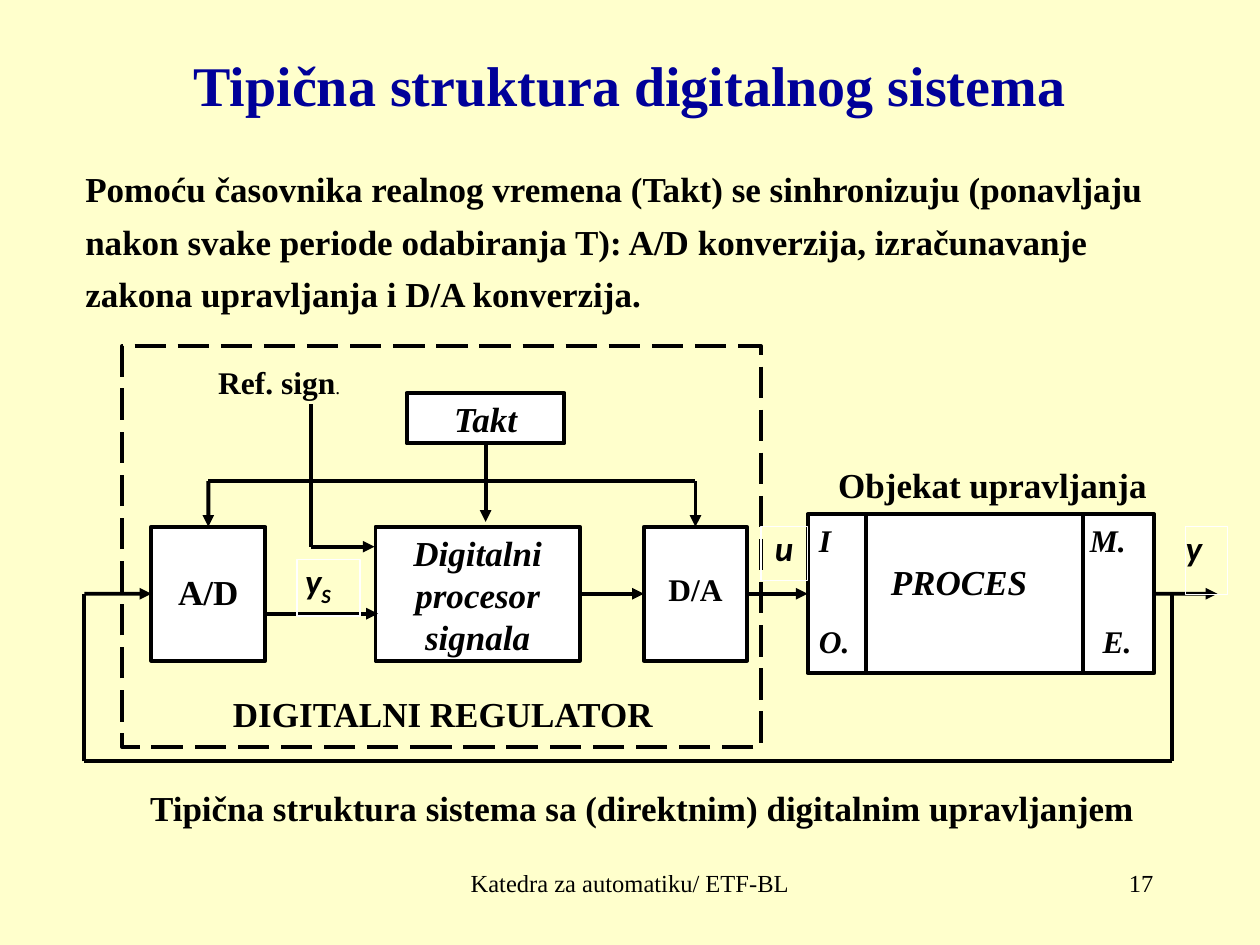
from lxml.etree import SubElement
from pptx import Presentation
from pptx.dml.color import RGBColor
from pptx.enum.dml import MSO_LINE
from pptx.enum.shapes import MSO_CONNECTOR, MSO_SHAPE
from pptx.enum.text import MSO_ANCHOR, PP_ALIGN
from pptx.oxml.ns import qn
from pptx.util import Cm, Pt

COLORS = {"background": "FFFFCC", "title": "000099", "ink": "000000", "white": "FFFFFF"}
SERIF, SANS = "Times New Roman", "Calibri"
TOP, LEFT, BOTTOM, RIGHT = range(4)
BOX_INSETS = (0.25, 0.13, 0.25, 0.13)
NO_INSETS = (0, 0, 0, 0)


def color(name):
    return RGBColor.from_string(COLORS[name])


class DiagramSlide:
    """Holds the style and the slide being built; lengths are in centimetres."""

    line_width = Pt(2.25)

    def __init__(self, presentation):
        self.slide = presentation.slides.add_slide(presentation.slide_layouts[5])
        self.slide.background.fill.solid()
        self.slide.background.fill.fore_color.rgb = color("background")

    def fill_text(self, shape, text, size=20, font=SERIF, bold=True, italic=False,
                  ink="ink", align=PP_ALIGN.CENTER, insets=NO_INSETS, anchor=MSO_ANCHOR.TOP):
        frame = shape.text_frame
        frame.text = text
        frame.word_wrap = True
        frame.vertical_anchor = anchor
        frame.margin_left, frame.margin_top, frame.margin_right, frame.margin_bottom = map(Cm, insets)
        for paragraph in frame.paragraphs:
            paragraph.alignment = align
            for run in paragraph.runs:
                run.font.size, run.font.name = Pt(size), font
                run.font.bold, run.font.italic = bold, italic
                run.font.color.rgb = color(ink)
        return frame.paragraphs

    def title(self, text, bounds):
        shape = self.slide.shapes.title
        shape.left, shape.top, shape.width, shape.height = map(Cm, bounds)
        self.fill_text(shape, text, 32, ink="title", anchor=MSO_ANCHOR.MIDDLE)

    def text(self, text, bounds, **style):
        return self.fill_text(self.slide.shapes.add_textbox(*map(Cm, bounds)), text, **style)

    def rectangle(self, bounds, fill=None, line="ink", width=line_width):
        shape = self.slide.shapes.add_shape(MSO_SHAPE.RECTANGLE, *map(Cm, bounds))
        shape.shadow.inherit = False
        if fill:
            shape.fill.solid()
            shape.fill.fore_color.rgb = color(fill)
        else:
            shape.fill.background()
        shape.line.color.rgb = color(line)
        shape.line.width = width
        return shape

    def block(self, text, bounds, **style):
        shape = self.rectangle(bounds, fill="white")
        self.fill_text(shape, text, **style)
        return shape

    def signal(self, text, bounds, **style):
        shape = self.rectangle(bounds, line="white", width=Pt(0.75))
        return self.fill_text(shape, text, font=SANS, italic=True, **style)

    def line(self, start, end, arrow=False):
        """Each end is an (x, y) point or a (shape, side) pair to join."""
        points = [(0, 0) if hasattr(place[0], "shape_id") else place for place in (start, end)]
        connector = self.slide.shapes.add_connector(
            MSO_CONNECTOR.STRAIGHT, *(Cm(value) for point in points for value in point))
        for place, join in ((start, connector.begin_connect), (end, connector.end_connect)):
            if hasattr(place[0], "shape_id"):
                join(*place)
        connector.line.color.rgb = color("ink")
        connector.line.width = self.line_width
        properties = connector.line._get_or_add_ln()
        if arrow:
            SubElement(properties, qn("a:tailEnd"), type="triangle")
        SubElement(properties.getparent(), qn("a:effectLst"))

    def polyline(self, *points):
        for start, end in zip(points, points[1:]):
            self.line(start, end)


def add_tab(paragraph, position):
    tabs = SubElement(paragraph._p.get_or_add_pPr(), qn("a:tabLst"))
    SubElement(tabs, qn("a:tab"), pos=str(Cm(position)), algn="l")


def add_texts(page):
    page.title("Tipična struktura digitalnog sistema", (1.9, 0.64, 21.6, 2.1))
    body = page.text(
        "Pomoću časovnika realnog vremena (Takt) se sinhronizuju (ponavljaju\n"
        "nakon svake periode odabiranja T): A/D konverzija, izračunavanje\n"
        "zakona upravljanja i D/A konverzija.",
        (1.47, 3.25, 22.86, 4), align=PP_ALIGN.LEFT, insets=BOX_INSETS)
    for paragraph in body[1:]:
        paragraph.space_before = Pt(6)
    page.text("Katedra za automatiku/ ETF-BL", (8.68, 17.36, 8.04, 1.27),
              size=14, bold=False, insets=BOX_INSETS)
    page.text("17", (18.2, 17.36, 5.3, 1.27), size=14, bold=False,
              align=PP_ALIGN.RIGHT, insets=BOX_INSETS)
    page.text("Objekat upravljanja", (16.2, 9.35, 7.62, 0.9))
    page.text("DIGITALNI REGULATOR", (3.68, 13.97, 10.5, 0.9))
    page.text("Tipična struktura sistema sa (direktnim) digitalnim upravljanjem",
              (2.64, 15.72, 20.62, 1.25), insets=BOX_INSETS)
    reference = page.text("Ref. sign", (4.4, 7.32, 3.7, 0.84), size=18, align=PP_ALIGN.LEFT)[0]
    period = reference.add_run()
    period.text = "."
    period.font.size, period.font.name = Pt(11), SERIF
    period.font.color.rgb = color("ink")


def add_process(page, left, top, width, height):
    process = page.block("I\tM.\n\tPROCES\nO.\tE.", (left, top, width, height), size=18,
                         italic=True, align=PP_ALIGN.LEFT, insets=(0.23, 0.13, 0, 0.1))
    paragraphs = process.text_frame.paragraphs
    for paragraph, position in zip(paragraphs, (5.46, 1.45, 5.72)):
        add_tab(paragraph, position)
    paragraphs[1].runs[0].font.size = Pt(20)
    paragraphs[1].space_before, paragraphs[1].space_after = Pt(1), Pt(11)
    for x in (17.45, 21.84):
        page.line((x, top), (x, top + height))
    return process


def add_diagram(page):
    block_top, block_height = 10.62, 2.7
    middle = block_top + block_height / 2
    bus, feedback = 9.7, 15.35

    page.rectangle((2.46, 6.98, 12.88, 8.08)).line.dash_style = MSO_LINE.LONG_DASH
    process = add_process(page, 16.28, 10.37, 6.99, 3.2)
    converter_in = page.block("A/D", (3.05, block_top, 2.3, block_height), insets=(0, 0.88, 0, 0))
    converter_out = page.block("D/A", (12.98, block_top, 2.08, block_height),
                               size=18, insets=(0, 0.88, 0, 0))
    processor = page.block("Digitalni\nprocesor\nsignala", (7.57, block_top, 4.12, block_height),
                           italic=True, insets=(0, 0.1, 0, 0))
    clock = page.block("Takt", (8.2, 7.92, 3.18, 1.02), italic=True, insets=(0, 0.1, 0, 0))

    page.polyline((4.2, bus), (14.02, bus))
    page.polyline((6.27, 8.15), (6.27, 11.02))
    page.polyline((23.63, middle), (23.63, feedback), (1.7, feedback), (1.7, middle))
    for start, end in (
        ((clock, BOTTOM), (9.79, 10.52)),
        ((4.2, bus), (converter_in, TOP)),
        ((14.02, bus), (converter_out, TOP)),
        ((6.27, 11.02), (7.55, 11.02)),
        ((5.35, 12.37), (7.62, 12.37)),
        ((1.7, middle), (converter_in, LEFT)),
        ((processor, RIGHT), (converter_out, LEFT)),
        ((converter_out, RIGHT), (process, LEFT)),
        ((process, RIGHT), (24.54, middle)),
    ):
        page.line(start, end, arrow=True)

    page.signal("u", (15.34, 10.62, 0.94, 1.09))
    page.signal("y", (23.9, 10.62, 0.84, 1.37), align=PP_ALIGN.LEFT)
    sensed = page.signal("y", (5.99, 11.28, 1.27, 1.14),
                         align=PP_ALIGN.LEFT, insets=(0.16, 0, 0, 0))[0]
    subscript = sensed.add_run()
    subscript.text = "S"
    font = subscript.font
    font.size, font.name, font.bold, font.italic = Pt(20), SANS, True, True
    font.color.rgb = color("ink")
    subscript._r.get_or_add_rPr().set("baseline", "-25000")


def main():
    presentation = Presentation()
    presentation.slide_width, presentation.slide_height = Cm(25.4), Cm(19.05)
    page = DiagramSlide(presentation)
    add_texts(page)
    add_diagram(page)
    presentation.save("out.pptx")


if __name__ == "__main__":
    main()
